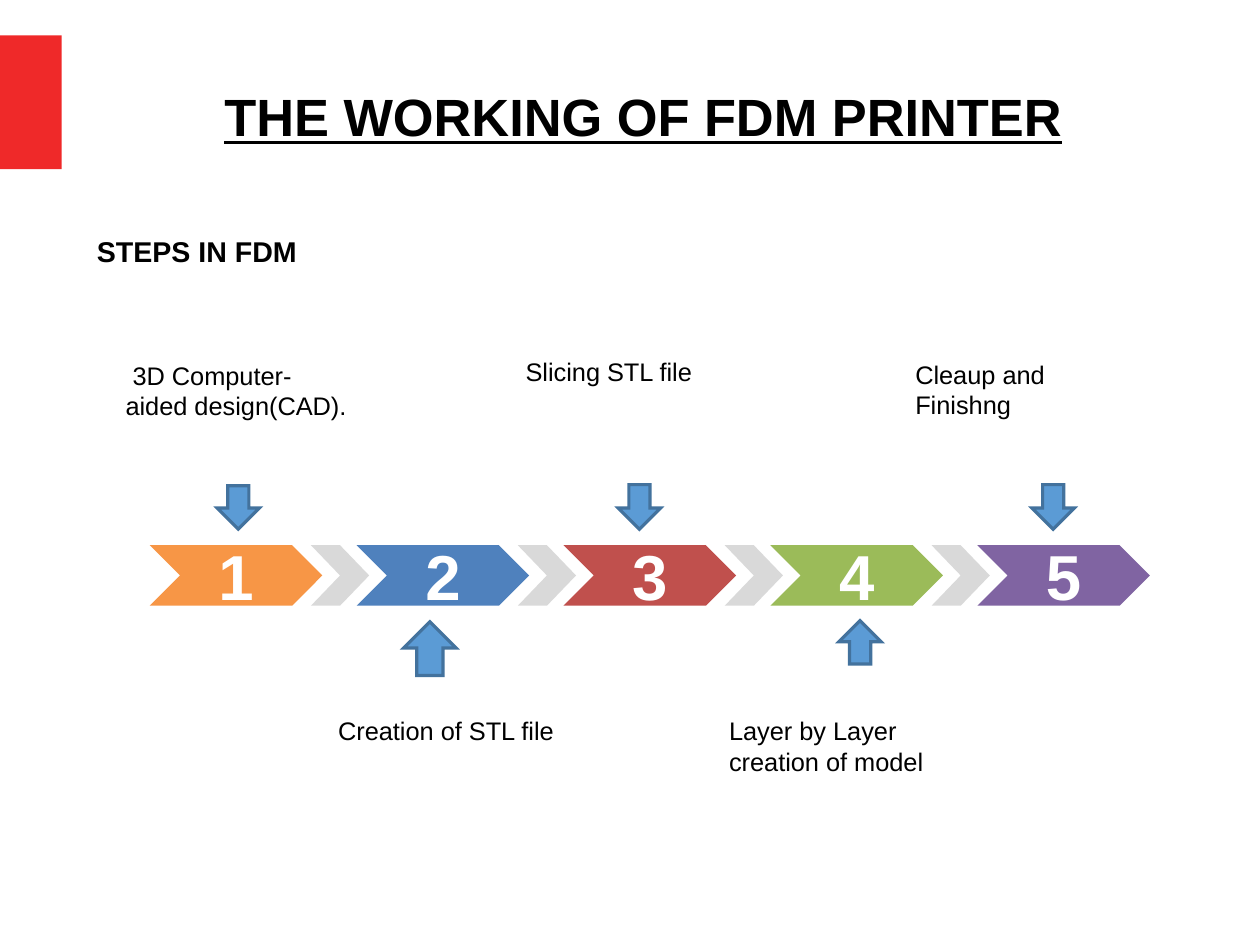
from lxml.etree import SubElement
from pptx import Presentation
from pptx.dml.color import RGBColor
from pptx.enum.shapes import MSO_SHAPE
from pptx.enum.text import MSO_ANCHOR, MSO_AUTO_SIZE, PP_ALIGN
from pptx.oxml.ns import qn
from pptx.util import Inches, Pt

BLACK = RGBColor(0x00, 0x00, 0x00)
WHITE = RGBColor(0xFF, 0xFF, 0xFF)
RED = RGBColor(0xEF, 0x29, 0x29)
GREY = RGBColor(0xD9, 0xD9, 0xD9)
ARROW_BLUE = RGBColor(0x5B, 0x9B, 0xD5)
ARROW_EDGE = RGBColor(0x43, 0x72, 0x9D)
STEP_COLORS = [
    RGBColor(0xF7, 0x96, 0x46),
    RGBColor(0x4F, 0x81, 0xBD),
    RGBColor(0xC0, 0x50, 0x4D),
    RGBColor(0x9B, 0xBB, 0x59),
    RGBColor(0x80, 0x64, 0xA2),
]
CM_PER_INCH = 2.54
STEP_PITCH = 1.81
STEP_WIDTH = 1.51
LINK_OFFSET = 1.41
LINK_WIDTH = 0.51

STEP_NOTES = [
    (" 3D Computer-aided design(CAD).", (1, 3.1, 2.17, 1.04), (1.9, 4.25, 0.37, 0.38), 0),
    ("Creation of STL file", (2.86, 6.21, 2.17, 0.73), (3.53, 5.44, 0.46, 0.47), 180),
    ("Slicing STL file", (4.5, 3.07, 2.17, 0.42), (5.41, 4.24, 0.37, 0.39), 0),
    ("Layer by Layer creation of model", (6.28, 6.21, 2.17, 1.04), (7.34, 5.43, 0.37, 0.38), 180),
    ("Cleaup and Finishng", (7.91, 3.09, 2.17, 0.73), (9.03, 4.24, 0.37, 0.39), 0),
]


def set_font(paragraph, size, color, bold=False):
    """Apply the slide's typeface to a paragraph."""
    font = paragraph.font
    font.name = "Arial"
    font.size = Pt(size)
    font.bold = bold
    font.color.rgb = color


def add_block(slide, preset, box, color):
    """Add a flat preset shape without an outline."""
    block = slide.shapes.add_shape(preset, *map(Inches, box))
    block.shadow.inherit = False
    block.fill.solid()
    block.fill.fore_color.rgb = color
    block.line.fill.background()
    return block


def add_label(slide, text, box, size=16, bold=False):
    """Add a wrapped line of black text."""
    label = slide.shapes.add_textbox(*map(Inches, box)).text_frame
    label.word_wrap = True
    label.text = text
    set_font(label.paragraphs[0], size, BLACK, bold)


def add_heading(slide, box):
    """Place the underlined slide title in its box."""
    title = slide.shapes.title
    title.left, title.top, title.width, title.height = map(Inches, box)
    frame = title.text_frame
    frame.text = "THE WORKING OF FDM PRINTER"
    frame.auto_size = MSO_AUTO_SIZE.NONE
    frame.word_wrap = True
    frame.vertical_anchor = MSO_ANCHOR.MIDDLE
    frame.margin_left = frame.margin_right = frame.margin_top = frame.margin_bottom = 0
    heading = frame.paragraphs[0]
    heading.alignment = PP_ALIGN.CENTER
    set_font(heading, 33, BLACK, True)
    heading.font.underline = True


def add_step_chain(slide, left, top, height):
    """Draw the numbered chevrons and the grey links between them."""
    for index, color in enumerate(STEP_COLORS):
        step_left = left + index * STEP_PITCH
        step = add_block(slide, MSO_SHAPE.CHEVRON, (step_left, top, STEP_WIDTH, height), color)
        step.text_frame.text = str(index + 1)
        step.text_frame.vertical_anchor = MSO_ANCHOR.MIDDLE
        number = step.text_frame.paragraphs[0]
        number.alignment = PP_ALIGN.CENTER
        set_font(number, 40, WHITE, True)
    for index in range(len(STEP_COLORS) - 1):
        link_left = left + LINK_OFFSET + index * STEP_PITCH
        add_block(slide, MSO_SHAPE.CHEVRON, (link_left, top, LINK_WIDTH, height), GREY)


def add_step_note(slide, text, text_box, arrow_box, rotation):
    """Add a step's description and the arrow pointing at its chevron."""
    arrow = add_block(slide, MSO_SHAPE.DOWN_ARROW, arrow_box, ARROW_BLUE)
    arrow.rotation = rotation
    arrow.line.color.rgb = ARROW_EDGE
    arrow.line.width = Pt(2)
    outline = arrow.element.spPr.find(qn("a:ln"))
    SubElement(outline, qn("a:miter"), lim="800000")
    add_label(slide, text, text_box)


def main():
    """Build the slide and save it."""
    presentation = Presentation()
    presentation.slide_width = Inches(28 / CM_PER_INCH)
    presentation.slide_height = Inches(21 / CM_PER_INCH)
    slide = presentation.slides.add_slide(presentation.slide_layouts[5])
    add_block(slide, MSO_SHAPE.RECTANGLE, (0, 0.31, 0.54, 1.17), RED)
    add_heading(slide, (0.79, 0.33, 9.68, 1.37))
    add_label(slide, "STEPS IN FDM", (0.75, 2, 5.24, 0.37), 18, True)
    add_step_chain(slide, 1.31, 4.77, 0.53)
    for note in STEP_NOTES:
        add_step_note(slide, *note)
    presentation.save("out.pptx")


if __name__ == "__main__":
    main()
